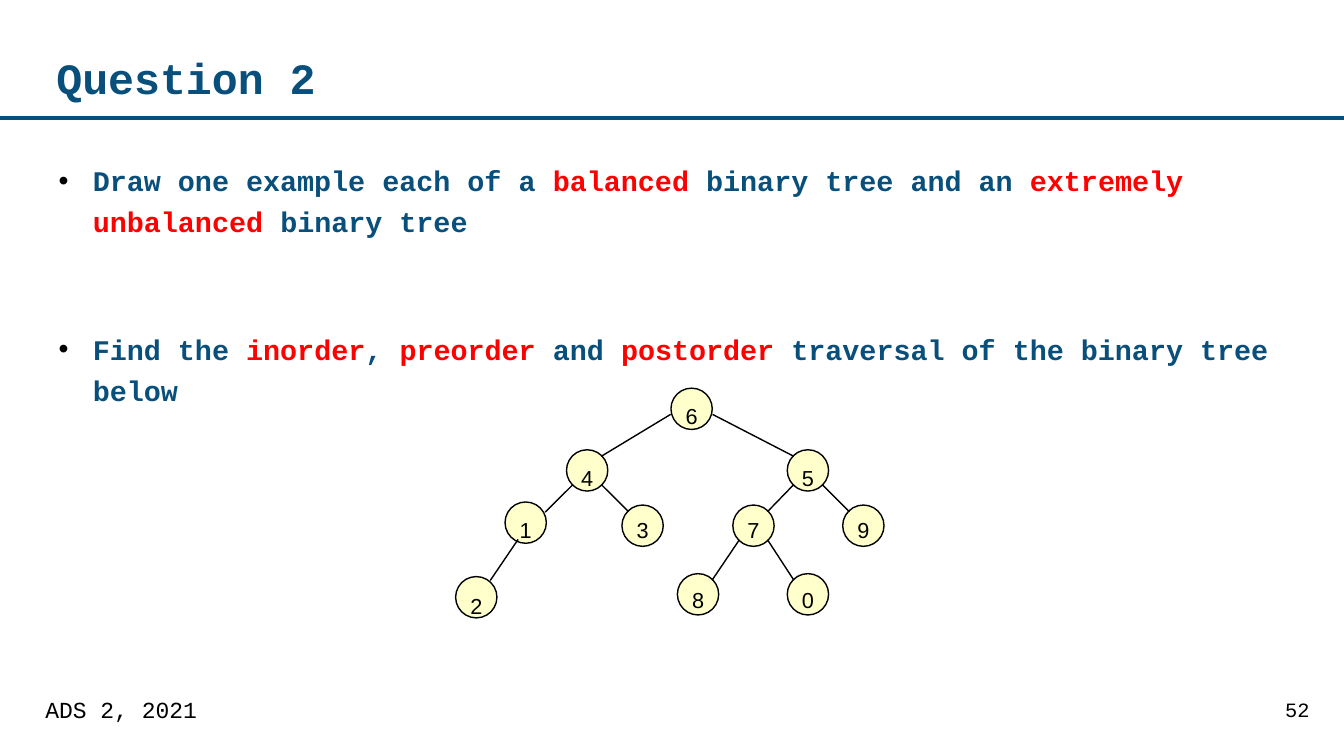
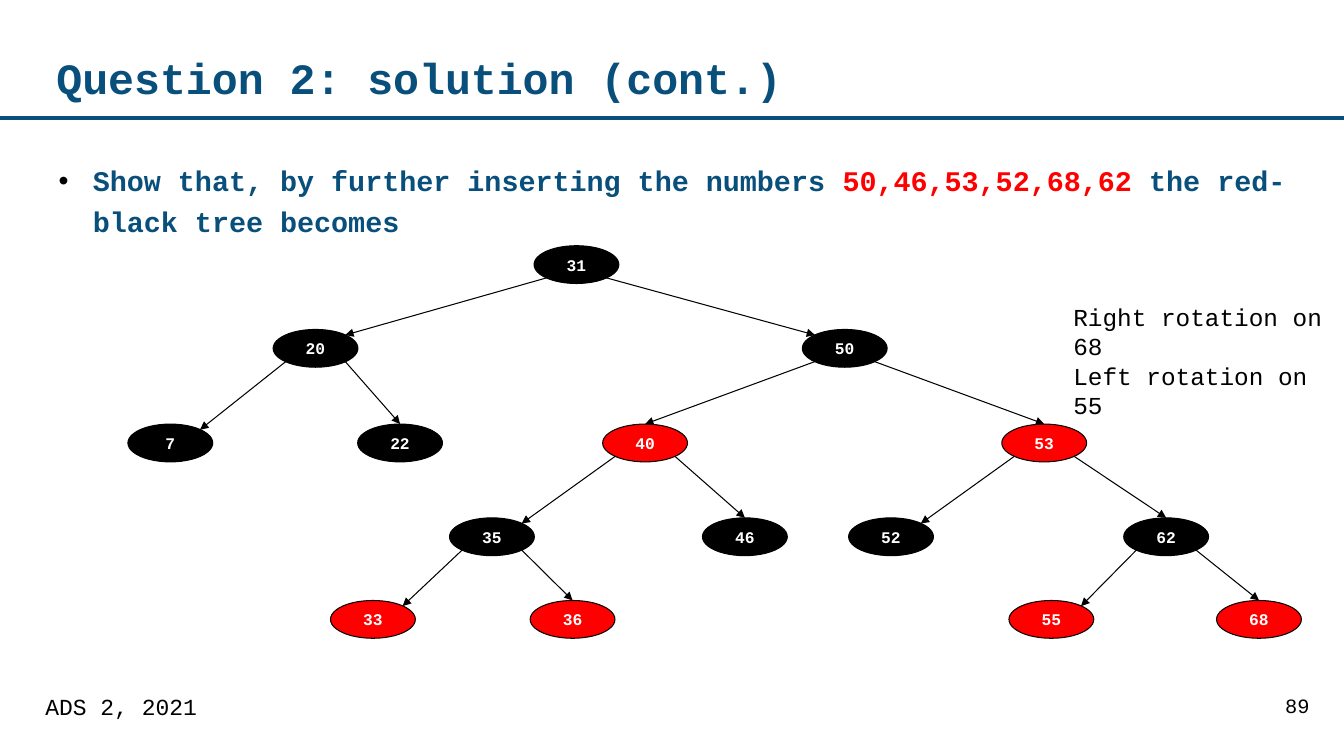
import pptx
import pptx.util
import pptx.dml.color
import pptx.enum.shapes
import pptx.enum.text
import pptx.oxml.ns
from lxml import etree

Pt = pptx.util.Pt
ALIGN = pptx.enum.text.PP_ALIGN
ANCHOR = pptx.enum.text.MSO_ANCHOR

BLUE, RED, BLACK, WHITE, CREAM = "094F7B", "FF0000", "000000", "FFFFFF", "FFFFCC"
MONO, SANS = "Courier New", "Arial"
WIDTH, HEIGHT = 960, 540
TITLE_BOX = (40.3, 23.8, 819.4, 61.9)
BODY_BOX = (40.3, 112, 879.8, 368)
BULLET_INDENT = 26

# label, centre x, centre y, label offset, parent, edge start, edge end
NUMBER_TREE = [
    ("6", 168.6, 14.8, -7, None, None, None),
    ("4", 94, 58.8, -7, "6", (15, 4), (10, 10)),
    ("5", 251.7, 58.8, -7, "6", (15, 4), (10, 10)),
    ("1", 50.1, 96.1, -7, "4", (10, 10), (14, 7.5)),
    ("3", 133.6, 98.3, -9, "4", (10, 10), (10, 10)),
    ("7", 212.8, 98.3, -9, "5", (10, 10), (10, 10)),
    ("9", 291.3, 98.3, -9, "5", (10, 10), (10, 10)),
    ("2", 14.8, 149.4, -6, "1", (5.4, 12), (10, 12)),
    ("8", 173.2, 147.3, -8, "7", (10, 10), (10, 10)),
    ("0", 251.7, 147.3, -8, "7", (10, 10), (10, 10)),
]

LEVELS = [13.5, 73.3, 140.9, 207.9, 266.9]
# label, centre x, level, fill, parent, where the arrow lands
RED_BLACK_TREE = [
    ("31", 320.5, 0, BLACK, None, None),
    ("20", 134.1, 1, BLACK, "31", "corner"),
    ("50", 512.1, 1, BLACK, "31", "corner"),
    ("7", 30.4, 2, BLACK, "20", "corner"),
    ("22", 194.5, 2, BLACK, "20", "top"),
    ("40", 369.5, 2, RED, "50", "top"),
    ("53", 654.6, 2, RED, "50", "top"),
    ("35", 260.1, 3, BLACK, "40", "corner"),
    ("46", 440.8, 3, BLACK, "40", "top"),
    ("52", 545.2, 3, BLACK, "53", "corner"),
    ("62", 741.7, 3, BLACK, "53", "top"),
    ("33", 175.1, 4, RED, "35", "corner"),
    ("36", 317.7, 4, RED, "35", "top"),
    ("55", 659.7, 4, RED, "62", "corner"),
    ("68", 808, 4, RED, "62", "top"),
]


def rgb(code):
    return pptx.dml.color.RGBColor.from_string(code)


def format_font(font, size, color, bold=False, name=MONO):
    font.name, font.size, font.bold = name, Pt(size), bold
    font.color.rgb = rgb(color)


def prepare_frame(tf, inset=(0, 0), wrap=True, anchor=ANCHOR.TOP):
    tf.word_wrap = wrap
    tf.vertical_anchor = anchor
    tf.margin_left = tf.margin_right = Pt(inset[0])
    tf.margin_top = tf.margin_bottom = Pt(inset[1])


def text_box(s, box, text, size, color=BLACK, bold=False, name=MONO,
             align=ALIGN.LEFT, spacing=1.0, **frame):
    tf = s.shapes.add_textbox(*map(Pt, box)).text_frame
    prepare_frame(tf, **frame)
    tf.text = text
    for p in tf.paragraphs:
        p.alignment, p.line_spacing = align, spacing
        for r in p.runs:
            format_font(r.font, size, color, bold, name)


def line(s, start, end, color=BLACK, width=1.0, arrow=False):
    c = s.shapes.add_connector(pptx.enum.shapes.MSO_CONNECTOR.STRAIGHT,
                               *map(Pt, (*start, *end)))
    c.line.color.rgb = rgb(color)
    c.line.width = Pt(width)
    sppr = c._element.spPr
    qn = pptx.oxml.ns.qn
    if arrow:
        etree.SubElement(sppr.find(qn("a:ln")), qn("a:tailEnd"), type="triangle")
    etree.SubElement(sppr, qn("a:effectLst"))


def oval(s, x, y, width, height, fill, outline):
    """Draw an ellipse centred on x, y."""
    box = (x - width / 2, y - height / 2, width, height)
    sp = s.shapes.add_shape(pptx.enum.shapes.MSO_SHAPE.OVAL, *map(Pt, box))
    sp.shadow.inherit = False
    sp.fill.solid()
    sp.fill.fore_color.rgb = rgb(fill)
    sp.line.color.rgb = rgb(BLACK)
    sp.line.width = Pt(outline)
    return sp


def edge(s, parent, child, start, end, **style):
    """Join two centres, from below the parent to above the child."""
    side = 1 if child[0] > parent[0] else -1
    line(s, (parent[0] + side * start[0], parent[1] + start[1]),
         (child[0] - side * end[0], child[1] - end[1]), **style)


def bullets(s, box, items, gap=62):
    """List the items; words between asterisks are red."""
    tf = s.shapes.add_textbox(*map(Pt, box)).text_frame
    prepare_frame(tf)
    qn = pptx.oxml.ns.qn
    for i, item in enumerate(items):
        p = tf.paragraphs[0] if i == 0 else tf.add_paragraph()
        p.line_spacing = 1.2
        if i:
            p.space_before = Pt(gap)
        ppr = p._p.get_or_add_pPr()
        ppr.set("marL", str(Pt(BULLET_INDENT)))
        ppr.set("indent", str(-Pt(BULLET_INDENT - 1.5)))
        color = etree.SubElement(ppr, qn("a:buClr"))
        etree.SubElement(color, qn("a:srgbClr"), val=BLACK)
        etree.SubElement(ppr, qn("a:buFont"), typeface=SANS)
        etree.SubElement(ppr, qn("a:buChar"), char="•")
        for j, part in enumerate(item.split("*")):
            r = p.add_run()
            r.text = part
            format_font(r.font, 20.3, RED if j % 2 else BLUE, True)


def number_tree(s, left, top):
    diameter = 29.5
    centres = {}
    for label, x, y, offset, parent, start, end in NUMBER_TREE:
        x, y = centres[label] = left + x, top + y
        oval(s, x, y, diameter, diameter, CREAM, 1)
        text_box(s, (x - diameter / 2, y + offset, diameter, 20), label, 15.5,
                 name=SANS, align=ALIGN.CENTER, spacing=1.15)
        if parent:
            edge(s, centres[parent], (x, y), start, end)


def red_black_tree(s, left, top):
    width, height = 60.6, 27
    corner = (width * 0.35, height * 0.35)
    landing = {"corner": corner, "top": (0, height / 2)}
    centres = {}
    for label, x, level, fill, parent, target in RED_BLACK_TREE:
        x, y = centres[label] = left + x, top + LEVELS[level]
        sp = oval(s, x, y, width, height, fill, 0.75)
        tf = sp.text_frame
        prepare_frame(tf, anchor=ANCHOR.MIDDLE)
        tf.text = label
        p = tf.paragraphs[0]
        p.alignment = ALIGN.CENTER
        format_font(p.runs[0].font, 11.6, WHITE, True)
        if parent:
            edge(s, centres[parent], (x, y), corner, landing[target],
                 width=0.75, arrow=True)


def question_slide(prs, title, number, items, footer_top):
    s = prs.slides.add_slide(prs.slide_layouts[6])
    line(s, (0, 84.2), (WIDTH, 84.2), BLUE, 2.75)
    text_box(s, TITLE_BOX, title, 30.9, BLUE, True, spacing=1.04,
             anchor=ANCHOR.MIDDLE)
    bullets(s, BODY_BOX, items)
    text_box(s, (789, footer_top, 155, 37.4), number, 14.5,
             align=ALIGN.RIGHT, inset=(8.6, 4.3))
    text_box(s, (24.5, footer_top, 607, 37.4), "ADS 2, 2021", 16.4,
             inset=(7.9, 3.6))
    return s


def main():
    prs = pptx.Presentation()
    prs.slide_width, prs.slide_height = Pt(WIDTH), Pt(HEIGHT)

    s = question_slide(prs, "Question 2", "52", [
        "Draw one example each of a *balanced *binary tree and an "
        "*extremely unbalanced *binary tree",
        "Find the *inorder*, *preorder* and *postorder* traversal of the "
        "binary tree below",
    ], 493.5)
    number_tree(s, 325.4, 277.2)

    s = question_slide(prs, "Question 2: solution (cont.)", "89", [
        "Show that, by further inserting the numbers *50,46,53,52,68,62* "
        "the red-black tree becomes",
    ], 491)
    red_black_tree(s, 91.3, 175.5)
    text_box(s, (759.6, 212.4, 193, 86),
             "Right rotation on 68\nLeft rotation on 55", 17.4, inset=(7.2, 3.6))

    prs.save("out.pptx")


if __name__ == "__main__":
    main()
